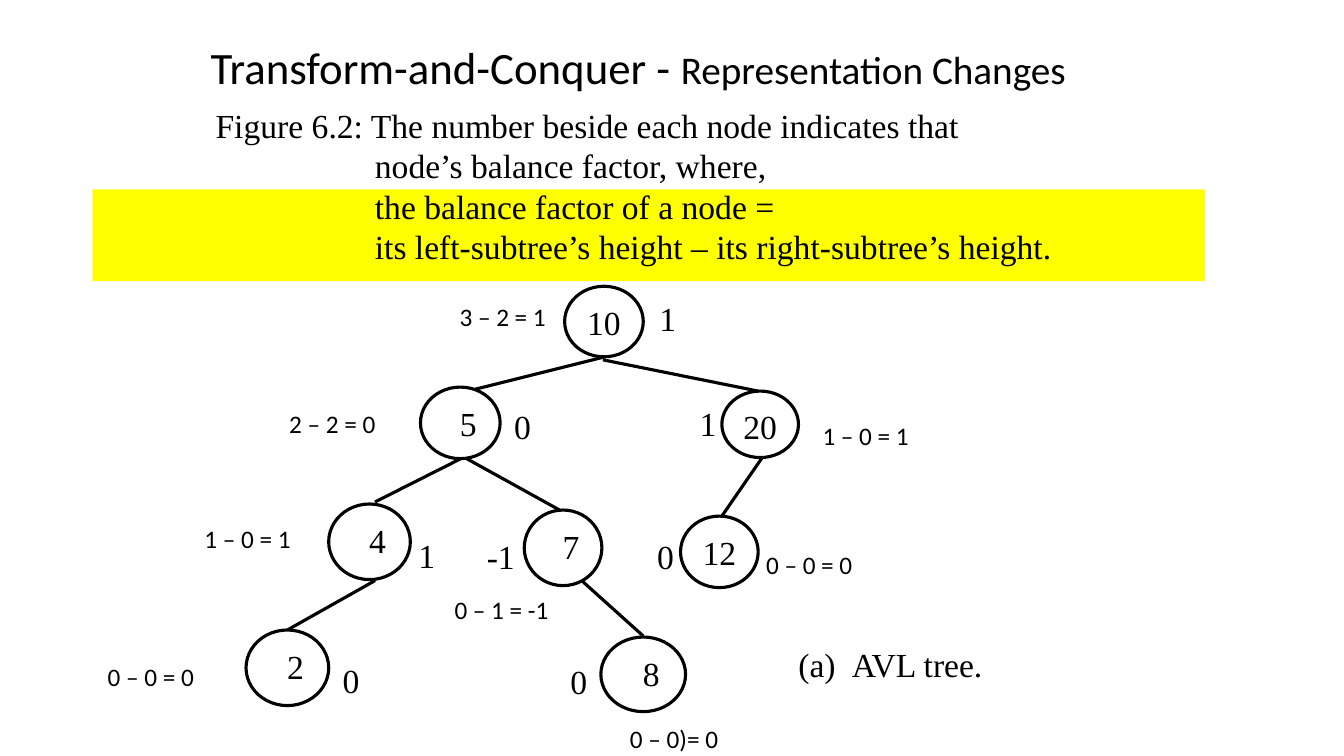
from dataclasses import dataclass
from typing import NamedTuple

from lxml.etree import SubElement
from pptx import Presentation
from pptx.dml.color import RGBColor
from pptx.enum.shapes import MSO_CONNECTOR as CONN, MSO_SHAPE as SHAPE
from pptx.enum.text import MSO_ANCHOR as ANCHOR, MSO_AUTO_SIZE as FIT, PP_ALIGN as ALIGN
from pptx.oxml.ns import qn
from pptx.util import Pt

PX = 9144


@dataclass(frozen=True)
class Theme:
    ink: RGBColor = RGBColor(0, 0, 0)
    paper: RGBColor = RGBColor(255, 255, 255)
    highlight: RGBColor = RGBColor(255, 255, 0)
    serif: str = "Times New Roman"
    sans: str = "Calibri"
    title: int = 32
    subtitle: int = 28
    body: int = 24
    note: int = 18
    stroke: float = 2.25


class Box(NamedTuple):
    x: int
    y: int
    w: int
    h: int


class Run(NamedTuple):
    text: str
    size: int
    font: str


class Para(NamedTuple):
    runs: list[Run]
    left: int = 0
    indent: int = 0


class Edge(NamedTuple):
    x1: int
    y1: int
    x2: int
    y2: int


@dataclass(frozen=True)
class Node:
    key: str
    box: Box
    balance: str
    balance_at: tuple[int, int]
    working: str
    working_at: tuple[int, int]
    working_w: int = 137


T = Theme()
DIGIT_SHIFT = 16
FIGURE_INDENT = 158
CAPTION_INDENT = 53

EDGES = [
    Edge(600, 354, 468, 387), Edge(598, 357, 752, 388),
    Edge(471, 448, 372, 498), Edge(372, 576, 285, 625),
    Edge(461, 454, 555, 506), Edge(578, 577, 638, 631),
    Edge(756, 454, 716, 512),
]
NODES = [
    Node("10", Box(560, 284, 78, 70), "1", (644, 291), "3 – 2 = 1", (446, 294)),
    Node("5", Box(417, 384, 79, 71), "0", (500, 398), "2 – 2 = 0", (277, 400)),
    Node("20", Box(716, 388, 76, 66), "1", (684, 395), "1 – 0 = 1", (806, 412)),
    Node("4", Box(326, 500, 81, 75), "1", (405, 526), "1 – 0 = 1", (193, 514), 120),
    Node("7", Box(520, 506, 77, 75), "-1", (473, 527), "0 – 1 = -1", (441, 585)),
    Node("12", Box(675, 512, 77, 71), "0", (642, 527), "0 – 0 = 0", (750, 540)),
    Node("2", Box(244, 625, 82, 75), "0", (330, 650), "0 – 0 = 0", (97, 651)),
    Node("8", Box(596, 632, 84, 74), "0", (556, 651), "0 – 0)= 0", (615, 713)),
]
FIGURE_LINES = [
    "Figure 6.2: The number beside each node indicates that",
    "node’s balance factor, where,",
    "the balance factor of a node =",
    "its left-subtree’s height – its right-subtree’s height.",
]


def apply(target: object, formats: dict) -> None:
    for name, value in formats.items():
        setattr(target, name, value)


def emu(box: tuple) -> list[int]:
    return [v * PX for v in box]


def serif(text: str) -> Run:
    return Run(text, T.body, T.serif)


def write(tf, paras: list[Para], align=ALIGN.LEFT) -> None:
    for i, para in enumerate(paras):
        p = tf.add_paragraph() if i else tf.paragraphs[0]
        p.alignment = align
        pPr = p._p.get_or_add_pPr()
        pPr.set("marL", str(para.left * PX))
        pPr.set("indent", str(para.indent * PX))
        for run in para.runs:
            r = p.add_run()
            r.text = run.text
            apply(r.font, {"size": Pt(run.size), "name": run.font})
            r.font.color.rgb = T.ink


def add_text(s, box: Box, paras: list[Para], wrap: bool = True) -> None:
    tf = s.shapes.add_textbox(*emu(box)).text_frame
    apply(tf, {"word_wrap": wrap, "auto_size": FIT.SHAPE_TO_FIT_TEXT})
    write(tf, paras)


def add_highlight(s, box: Box) -> None:
    sp = s.shapes.add_shape(SHAPE.RECTANGLE, *emu(box))
    sp.shadow.inherit = False
    sp.fill.solid()
    sp.fill.fore_color.rgb = T.highlight
    sp.line.fill.background()


def add_edge(s, edge: Edge) -> None:
    cxn = s.shapes.add_connector(CONN.STRAIGHT, *emu(edge))
    cxn.line.color.rgb = T.ink
    cxn.line.width = Pt(T.stroke)
    SubElement(cxn._element.spPr, qn("a:effectLst"))


def add_node(s, node: Node) -> None:
    sp = s.shapes.add_shape(SHAPE.OVAL, *emu(node.box))
    sp.shadow.inherit = False
    sp.fill.solid()
    sp.fill.fore_color.rgb = T.paper
    sp.line.color.rgb = T.ink
    sp.line.width = Pt(T.stroke)
    apply(sp.text_frame, {"word_wrap": True, "vertical_anchor": ANCHOR.TOP})
    shift = DIGIT_SHIFT if len(node.key) == 1 else 0
    write(sp.text_frame, [Para([serif(node.key)], shift)], ALIGN.CENTER)


def add_labels(s, node: Node) -> None:
    add_text(s, Box(*node.balance_at, 48, 50), [Para([serif(node.balance)])])
    add_text(s, Box(*node.working_at, node.working_w, 40),
             [Para([Run(node.working, T.note, T.sans)])])


def main() -> None:
    prs = Presentation()
    apply(prs, {"slide_width": 1333 * PX, "slide_height": 750 * PX})
    s = prs.slides.add_slide(prs.slide_layouts[6])

    add_highlight(s, Box(92, 188, 1103, 91))
    for edge in EDGES:
        add_edge(s, edge)
    for node in NODES:
        add_node(s, node)
    add_text(s, Box(204, 99, 926, 172),
             [Para([serif(line)], FIGURE_INDENT if i else 0)
              for i, line in enumerate(FIGURE_LINES)])
    for node in NODES:
        add_labels(s, node)
    add_text(s, Box(782, 634, 214, 50),
             [Para([serif("(a)\tAVL tree.")], CAPTION_INDENT, -CAPTION_INDENT)])
    add_text(s, Box(199, 34, 877, 64),
             [Para([Run("Transform-and-Conquer - ", T.title, T.sans),
                    Run("Representation Changes", T.subtitle, T.sans)])], wrap=False)
    prs.save("out.pptx")


if __name__ == "__main__":
    main()
